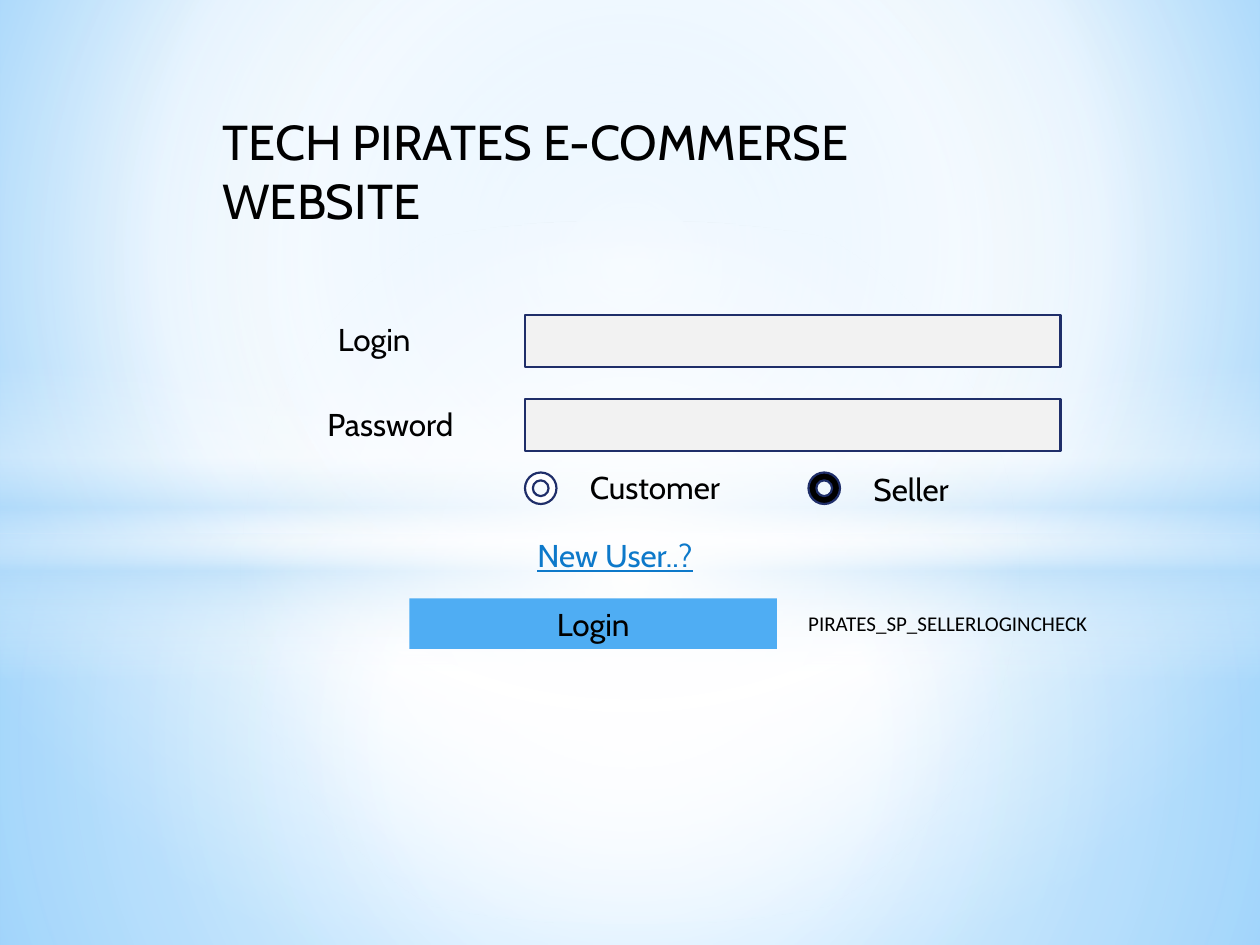
from lxml import etree
from pptx import Presentation, util as u
from pptx.dml.color import RGBColor
from pptx.enum import shapes, text
from pptx.oxml.ns import qn

# Content: places are left, top, width, height in grid cells (120 x 90)
COLS, ROWS = 120, 90
KIND = shapes.MSO_SHAPE
HEX = {"ink": "000000", "white": "FFFFFF", "navy": "1F2E69", "field": "F2F2F2",
       "blue": "4FADF3", "link": "0D79CA", "sky": "9ED5FF", "deep": "5BB9FF",
       "mist": "B4DCFA"}

# Gradient stops: position, colour, opacity (all in percent)
BACK = [(0, "sky", 100), (60, "white", 100), (100, "deep", 100)]
FOCUS, MID = (20, 10, 20, 60), (50, 50, 50, 50)
VEILS = [
    (KIND.RECTANGLE, (0, 50.8, 120, 39.2), MID,
     [(0, "white", 91), (37, "white", 76), (100, "mist", 79)]),
    (KIND.RECTANGLE, (0, 0, 120, 50.8), MID,
     [(0, "white", 89), (48, "white", 62), (100, "mist", 79)]),
    (KIND.RECTANGLE, (0, 34.8, 120, 30), None,
     [(0, "white", 0), (29, "white", 30), (45, "mist", 40),
      (55, "white", 26), (65, "mist", 60), (100, "white", 0)]),
    (KIND.OVAL, (0, 21, 120, 67), MID, [(0, "white", 100), (54, "white", 0)]),
]

LEFT = 50
BUTTON = ("Login", (39, 57, 35, 4.8))
FIELDS = [30, 38]
RADIOS = [(LEFT, "white"), (77, "ink")]
LABELS = [
    ("Login", (31, 29.9, 9.6, 4.8), {}),
    ("Password", (30, 38, 14.8, 4.8), {}),
    ("Customer", (55, 44, 15.2, 4.8), {}),
    ("Seller", (82, 44.2, 10.2, 4.8), {}),
    ("TECH PIRATES E-COMMERSE WEBSITE", (20, 10, 79.1, 6.8), {"size": u.Pt(28)}),
    ("New User..?", (LEFT, 50.5, 18.1, 4.8), {"color": "link", "underline": True}),
    ("PIRATES_SP_SELLERLOGINCHECK", (75.8, 57.6, 29.3, 3.6),
     {"size": u.Pt(12), "name": "Calibri"}),
]
FORMAT = {"name": "Cabin", "size": u.Pt(18), "color": "ink"}

deck = Presentation()
deck.slide_width, deck.slide_height = u.Inches(10), u.Inches(7.5)
slide = deck.slides.add_slide(deck.slide_layouts[6])


def place(box):
    cell = deck.slide_width / COLS, deck.slide_height / ROWS
    return [round(n * cell[i % 2]) for i, n in enumerate(box)]


def rgb(name):
    return RGBColor.from_string(HEX[name])


def blend(fill, root, stops, focus):
    """Fill with a round gradient, or a downward one if focus is None."""
    fill.gradient()
    grad = next(root.iter(qn("a:gradFill")))
    for child in list(grad):
        grad.remove(child)
    group = etree.SubElement(grad, qn("a:gsLst"))
    for pos, name, alpha in stops:
        stop = etree.SubElement(group, qn("a:gs"), pos=str(pos * 1000))
        tint = etree.SubElement(stop, qn("a:srgbClr"), val=HEX[name])
        if alpha < 100:
            etree.SubElement(tint, qn("a:alpha"), val=str(alpha * 1000))
    if focus:
        ring = etree.SubElement(grad, qn("a:path"), path="circle")
        sides = {k: str(v * 1000) for k, v in zip("ltrb", focus)}
        etree.SubElement(ring, qn("a:fillToRect"), **sides)
    else:
        etree.SubElement(grad, qn("a:lin"), ang="5400000", scaled="0")


def draw(kind, box, fill=None, line=None):
    shape = slide.shapes.add_shape(kind, *place(box))
    shape.shadow.inherit = False
    if fill:
        shape.fill.solid()
        shape.fill.fore_color.rgb = rgb(fill)
    if line:
        shape.line.color.rgb = rgb(line)
        shape.line.width = u.Pt(1.25)
    else:
        shape.line.fill.background()
    return shape


def write(shape, words, style):
    run = shape.text_frame.paragraphs[0].add_run()
    run.text = words
    for key, value in {**FORMAT, **style}.items():
        if key == "color":
            run.font.color.rgb = rgb(value)
        else:
            setattr(run.font, key, value)


# Backdrop
blend(slide.background.fill, slide.element, BACK, FOCUS)
for kind, box, focus, stops in VEILS:
    veil = draw(kind, box)
    blend(veil.fill, veil.element, stops, focus)

# Button, entry fields and radio marks
words, box = BUTTON
button = draw(KIND.RECTANGLE, box, "blue")
write(button, words, {})
button.text_frame.paragraphs[0].alignment = text.PP_ALIGN.CENTER
button.text_frame.vertical_anchor = text.MSO_ANCHOR.MIDDLE
for top in FIELDS:
    draw(KIND.RECTANGLE, (LEFT, top, 51, 5), "field", "navy")
for left, fill in RADIOS:
    draw(KIND.DONUT, (left, 45, 3, 3), fill, "navy")

# Labels; only the title runs over two lines
for words, box, style in LABELS:
    label = slide.shapes.add_textbox(*place(box))
    label.text_frame.word_wrap = style.get("size") == u.Pt(28)
    write(label, words, style)

deck.save("out.pptx")
